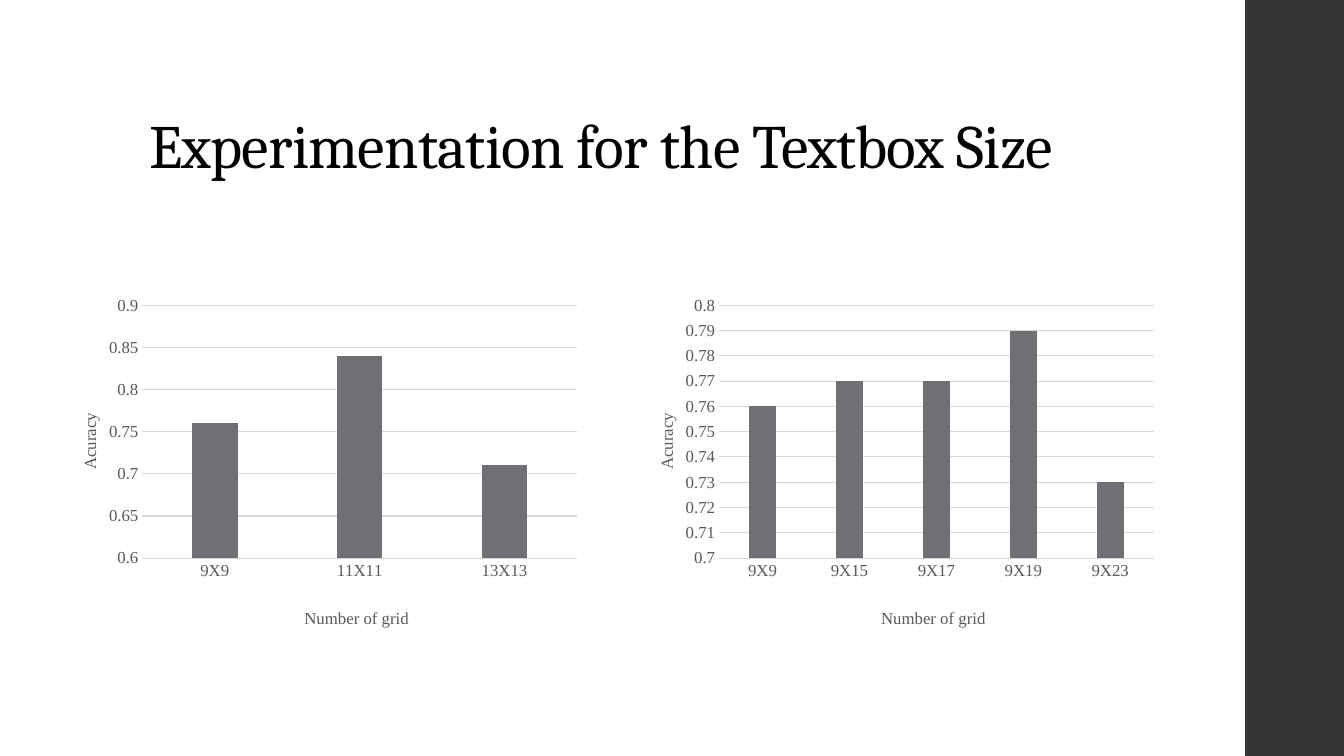
import pptx
import pptx.chart.data
import pptx.dml.color
import pptx.enum.chart
import pptx.enum.shapes
import pptx.enum.text
import pptx.oxml
import pptx.oxml.ns
import pptx.util

Inches = pptx.util.Inches
Pt = pptx.util.Pt
qn = pptx.oxml.ns.qn

WIDTH, HEIGHT = 13.33, 7.5
CHART_TOP, CHART_WIDTH, CHART_HEIGHT = 2.88, 5.31, 3.4
CHART_LEFT, CHART_STEP = 0.52, 5.72
CHART_FONT = "Times New Roman"
TEXT_GREY, LINE_GREY, BAR_GREY = "595959", "D9D9D9", "6F6F74"

# Categories, values, axis minimum, axis maximum, axis step
EXPERIMENTS = [
    (["9X9", "11X11", "13X13"], [0.76, 0.84, 0.71], 0.6, 0.9, 0.05),
    (["9X9", "9X15", "9X17", "9X19", "9X23"],
     [0.76, 0.77, 0.77, 0.79, 0.73], 0.7, 0.8, 0.01),
]


def color(value):
    return pptx.dml.color.RGBColor.from_string(value)


def style_font(font, name, size, value):
    font.name = name
    font.size = Pt(size)
    font.bold = False
    font.color.rgb = color(value)


def style_line(line):
    line.color.rgb = color(LINE_GREY)
    line.width = Pt(0.75)


def set_layout(parent, position, **shares):
    """Place a chart part by shares of the chart's size."""
    old = parent.find(qn("c:layout"))
    if old is not None:
        parent.remove(old)
    layout = pptx.oxml.parse_xml(
        '<c:layout xmlns:c="http://schemas.openxmlformats.org/drawingml/2006/chart">'
        "<c:manualLayout/></c:layout>")
    settings = {"xMode": "edge", "yMode": "edge", **shares}
    if "w" in shares:
        settings = {"layoutTarget": "inner", **settings}
    for tag, value in settings.items():
        part = layout[0].makeelement(qn(f"c:{tag}"), {"val": str(value)})
        layout[0].append(part)
    parent.insert(position, layout)


def add_sidebar(page):
    bar = page.shapes.add_shape(
        pptx.enum.shapes.MSO_SHAPE.RECTANGLE,
        Inches(12.35), 0, Inches(WIDTH - 12.35), Inches(HEIGHT))
    bar.shadow.inherit = False
    bar.fill.solid()
    bar.fill.fore_color.rgb = color("353537")
    bar.line.fill.background()


def add_title(page, text):
    box = page.shapes.add_textbox(
        Inches(1.38), Inches(0.4), Inches(10.6), Inches(1.45))
    frame = box.text_frame
    frame.word_wrap = True
    frame.vertical_anchor = pptx.enum.text.MSO_ANCHOR.BOTTOM
    para = frame.paragraphs[0]
    para.line_spacing = 0.9
    style_font(para.font, "Cambria", 44, "000000")
    span = para.add_run()
    span.text = text
    span.font._element.set("spc", "-50")


def style_axis(axis, title, x, y):
    axis.major_tick_mark = pptx.enum.chart.XL_TICK_MARK.NONE
    axis.minor_tick_mark = pptx.enum.chart.XL_TICK_MARK.NONE
    style_font(axis.tick_labels.font, CHART_FONT, 12, TEXT_GREY)
    frame = axis.axis_title.text_frame
    frame.text = title
    style_font(frame.paragraphs[0].font, CHART_FONT, 12, TEXT_GREY)
    set_layout(axis.axis_title._element, 1, x=x, y=y)


def add_accuracy_chart(page, left, categories, values, low, high, step):
    data = pptx.chart.data.CategoryChartData()
    data.categories = categories
    data.add_series("Series 1", values)
    chart = page.shapes.add_chart(
        pptx.enum.chart.XL_CHART_TYPE.COLUMN_CLUSTERED,
        Inches(left), Inches(CHART_TOP),
        Inches(CHART_WIDTH), Inches(CHART_HEIGHT), data).chart
    chart.has_title = False
    chart.has_legend = False
    style_font(chart.font, CHART_FONT, 12, "000000")

    # Columns
    plot = chart.plots[0]
    plot.vary_by_categories = False
    plot.gap_width = 219
    plot.overlap = -27
    fill = plot.series[0].format.fill
    fill.solid()
    fill.fore_color.rgb = color(BAR_GREY)

    # Axes
    style_axis(chart.category_axis, "Number of grid", 0.465, 0.92)
    style_line(chart.category_axis.format.line)
    scale = chart.value_axis
    style_axis(scale, "Acuracy", 0.045, 0.35)
    body = scale.axis_title.text_frame._element.find(qn("a:bodyPr"))
    body.set("rot", "-5400000")
    body.set("vert", "horz")
    scale.minimum_scale = low
    scale.maximum_scale = high
    scale.major_unit = step
    scale.format.line.fill.background()
    style_line(scale.major_gridlines.format.line)

    plot_area = chart._chartSpace.find(qn("c:chart")).find(qn("c:plotArea"))
    set_layout(plot_area, 0, x=0.168, y=0.044, w=0.812, h=0.739)


def main():
    deck = pptx.Presentation()
    deck.slide_width = Inches(WIDTH)
    deck.slide_height = Inches(HEIGHT)
    page = deck.slides.add_slide(deck.slide_layouts[6])
    add_sidebar(page)
    add_title(page, "Experimentation for the Textbox Size")
    for column, experiment in enumerate(EXPERIMENTS):
        add_accuracy_chart(page, CHART_LEFT + column * CHART_STEP, *experiment)
    deck.save("out.pptx")


if __name__ == "__main__":
    main()
